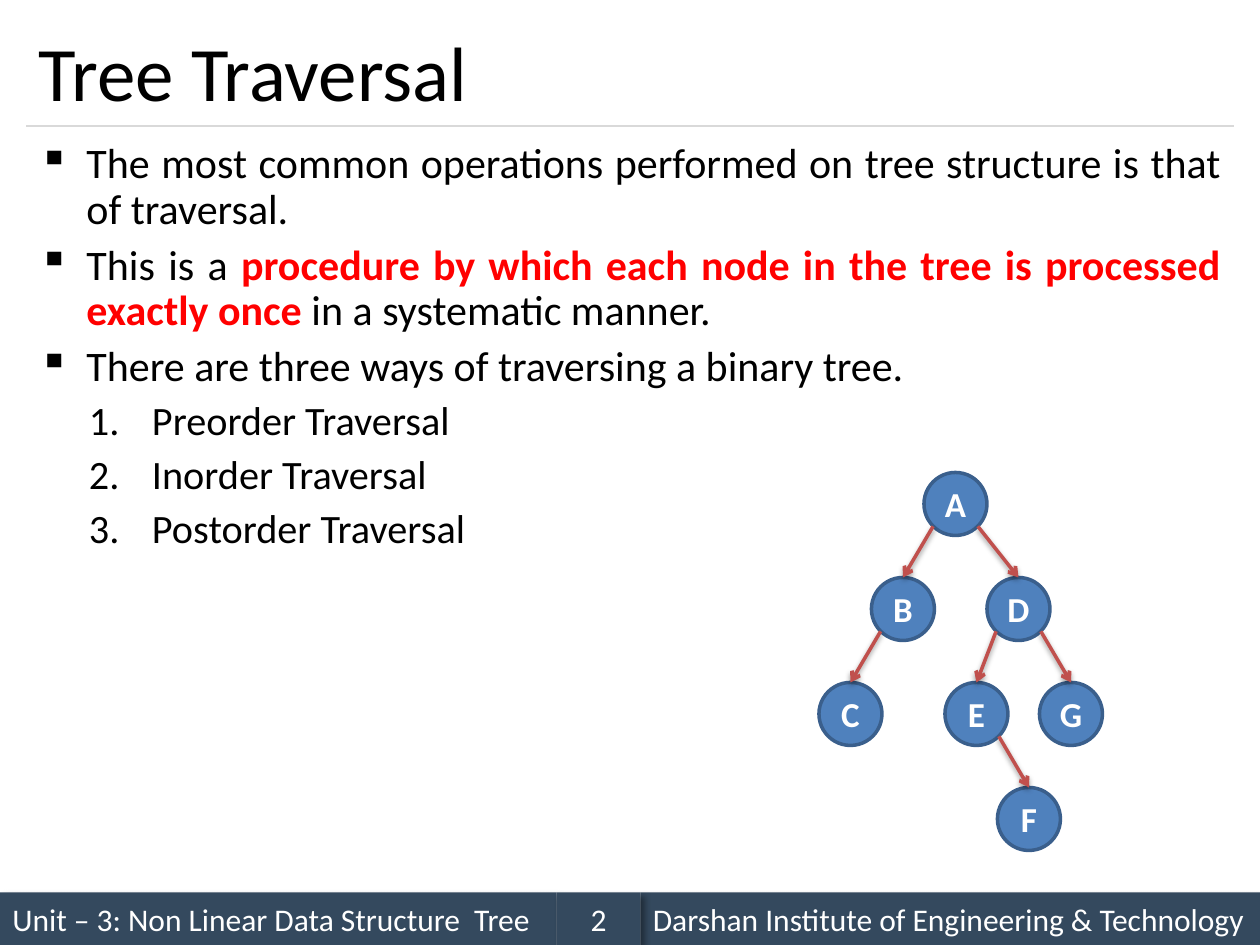
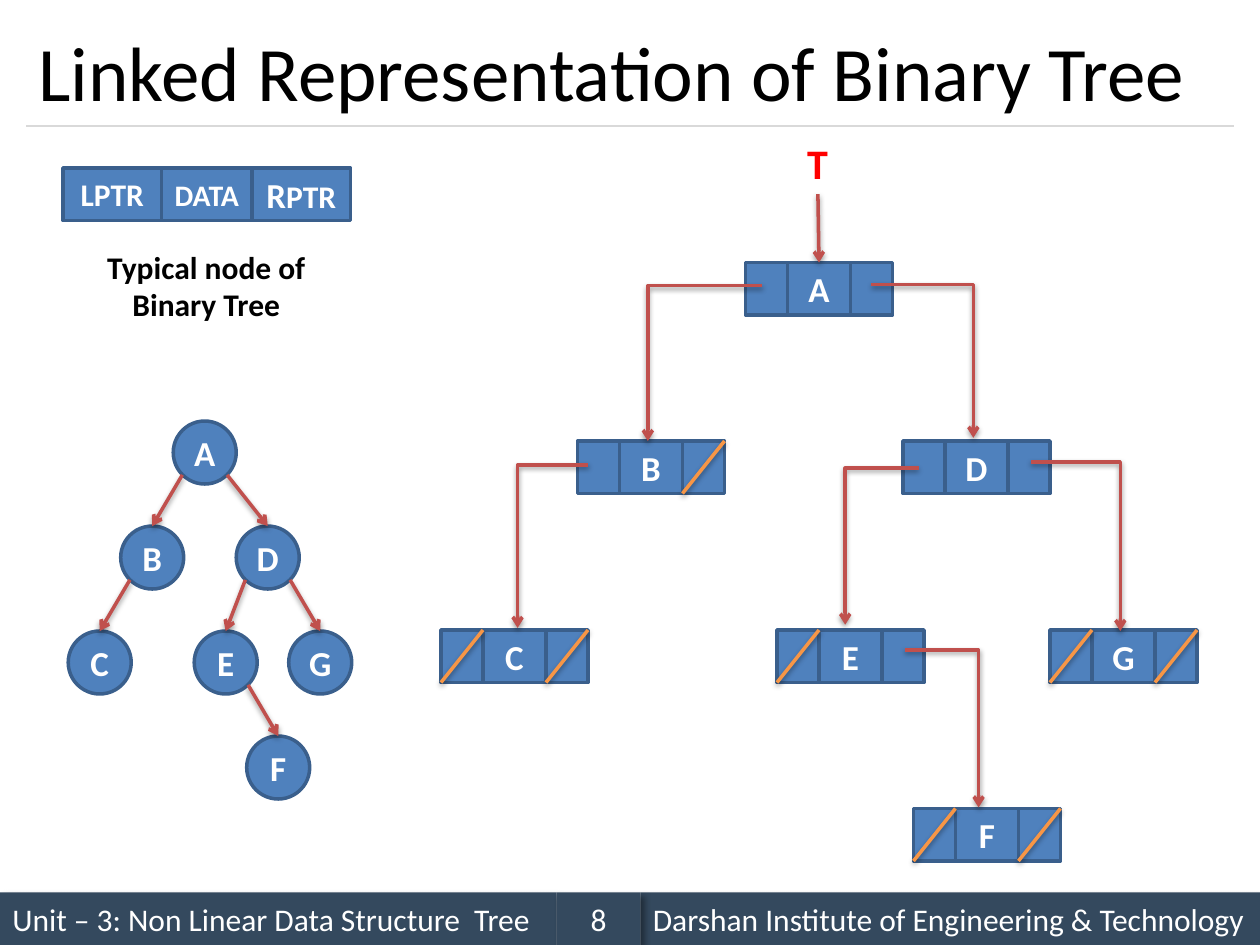
from lxml import etree
from pptx import Presentation
from pptx import util as u
from pptx.dml.color import RGBColor
from pptx.enum import shapes, text
from pptx.oxml.ns import qn

# Slide grid: 120 columns by 90 rows
WIDTH, HEIGHT = u.Inches(10), u.Inches(7.5)
COLS, ROWS = 120, 90

FONT = "Calibri"
BLACK, WHITE, RED = "000000", "FFFFFF", "FF0000"
BAND, RULE = "34495E", "D9D9D9"
NODE, NODE_EDGE = "4F81BD", "3A5F8C"
ARROW, NULL_MARK = "C0504D", "F79646"
BAND_SHADOW = dict(alpha=40, blur=4, dist=3, angle=45)
LINE_SHADOW = dict(alpha=38, blur=3.1, dist=1.6, angle=90)
CENTER, JUSTIFY = text.PP_ALIGN.CENTER, text.PP_ALIGN.JUSTIFY
MIDDLE = text.MSO_ANCHOR.MIDDLE

# Circle tree: offsets of each node from the root, and its edges
CIRCLE = 6
TREE_NODES = {"A": (0, 0), "B": (-5, 10), "C": (-10, 20), "E": (2, 20),
              "D": (6, 10), "G": (11, 20), "F": (7, 30)}
TREE_EDGES = ["AB", "BC", "AD", "DE", "DG", "EF"]

# Linked nodes: column, row and the pointer cells that are null
POINTER, DATA, CELL_HEIGHT = 4, 6, 5
LINKED_NODES = {"A": (71, 25, ""), "B": (55, 42, "R"), "D": (86, 42, ""),
                "C": (42, 60, "LR"), "E": (74, 60, "L"), "G": (100, 60, "LR"),
                "F": (87, 77, "LR")}
# Each link leaves a pointer cell sideways, then drops to its child
LINKS = [((72.6, 27.2), (61.7, 42)), ((56, 44.3), (49.3, 59.8)),
         ((83, 27.1), (92.7, 41.7)), ((87.5, 44.6), (80.5, 59.5)),
         ((98.2, 44), (106.7, 60.1)), ((86.2, 61.9), (93.2, 76.9))]


def x(col):
    return round(WIDTH * col / COLS)


def y(row):
    return round(HEIGHT * row / ROWS)


def rgb(color):
    return RGBColor.from_string(color)


def box(col, row, cols, rows):
    return x(col), y(row), x(cols), y(rows)


def set_shadow(sp, alpha, blur, dist, angle):
    effects = sp.element.spPr.find(qn("a:effectLst"))
    shadow = etree.SubElement(effects, qn("a:outerShdw"), blurRad=str(u.Pt(blur)),
                              dist=str(u.Pt(dist)), dir=str(angle * 60000),
                              rotWithShape="0")
    color = etree.SubElement(shadow, qn("a:srgbClr"), val=BLACK)
    etree.SubElement(color, qn("a:alpha"), val=str(alpha * 1000))


def style_line(sp, color, width, arrow=False):
    sp.line.color.rgb = rgb(color)
    sp.line.width = u.Pt(width)
    if arrow:
        etree.SubElement(sp.element.spPr.find(qn("a:ln")), qn("a:tailEnd"), type="arrow")


def add_run(p, words, size, color, bold=False):
    r = p.add_run()
    r.text = words
    r.font.name, r.font.size, r.font.bold = FONT, u.Pt(size), bold
    r.font.color.rgb = rgb(color)


def add_text(s, place, lines, size, color, bold=False, align=None, anchor=None, wrap=True):
    sp = s.shapes.add_textbox(*place)
    tf = sp.text_frame
    tf.word_wrap = wrap
    tf.vertical_anchor = anchor
    for i, line in enumerate(lines):
        p = tf.add_paragraph() if i else tf.paragraphs[0]
        p.alignment = align
        add_run(p, line, size, color, bold)
    return sp


def add_connector(s, start, end, color, width=2, arrow=False, shadow=True):
    line = s.shapes.add_connector(shapes.MSO_CONNECTOR.STRAIGHT,
                                  x(start[0]), y(start[1]), x(end[0]), y(end[1]))
    style_line(line, color, width, arrow)
    etree.SubElement(line.element.spPr, qn("a:effectLst"))
    if shadow:
        set_shadow(line, **LINE_SHADOW)
    return line


def add_cell(parent, kind, place, runs=()):
    """Blue node part; runs holds (words, size) pairs."""
    sp = parent.shapes.add_shape(kind, *box(*place))
    sp.shadow.inherit = False
    sp.fill.solid()
    sp.fill.fore_color.rgb = rgb(NODE)
    style_line(sp, NODE_EDGE, 2)
    tf = sp.text_frame
    tf.margin_left = tf.margin_right = tf.margin_top = tf.margin_bottom = 0
    tf.vertical_anchor = MIDDLE
    tf.paragraphs[0].alignment = CENTER
    for words, size in runs:
        add_run(tf.paragraphs[0], words, size, WHITE, True)
    return sp


def add_band(s, col, cols, words, align=None):
    sp = s.shapes.add_shape(shapes.MSO_SHAPE.RECTANGLE, *box(col, 85, cols, 5))
    sp.shadow.inherit = False
    sp.fill.solid()
    sp.fill.fore_color.rgb = rgb(BAND)
    sp.line.fill.background()
    set_shadow(sp, **BAND_SHADOW)
    tf = sp.text_frame
    tf.word_wrap = True
    tf.vertical_anchor = MIDDLE
    p = tf.paragraphs[0]
    p.alignment = align or text.PP_ALIGN.LEFT
    add_run(p, words, 18, WHITE)


def new_slide(prs, title, number):
    s = prs.slides.add_slide(prs.slide_layouts[6])
    add_band(s, 0, 53, "Unit – 3: Non Linear Data Structure  Tree")
    add_connector(s, (2.5, 12), (117.5, 12), RULE, 0.75, shadow=False)
    add_band(s, 61, 59, "Darshan Institute of Engineering & Technology")
    add_band(s, 53, 8, str(number), CENTER)
    add_text(s, box(2.5, 1.5, 115, 10.5), [title], 44, BLACK, anchor=MIDDLE)
    return s


def add_bullets(s, place, items):
    """Each item is (numbered, [(words, color, bold), ...])."""
    tf = s.shapes.add_textbox(*place).text_frame
    tf.word_wrap = True
    for i, (numbered, runs) in enumerate(items):
        p = tf.add_paragraph() if i else tf.paragraphs[0]
        pPr = p._p.get_or_add_pPr()
        left, hang = (0.9, 0.5) if numbered else (0.38, 0.38)
        pPr.set("marL", str(u.Inches(left)))
        pPr.set("indent", str(-u.Inches(hang)))
        if numbered:
            p.level = 1
            etree.SubElement(pPr, qn("a:buAutoNum"), type="arabicPeriod")
        else:
            etree.SubElement(pPr, qn("a:buChar"), char="▪")
        p.alignment = JUSTIFY
        p.line_spacing = 0.9
        if i:
            p.space_before = u.Pt(6)
        for words, color, bold in runs:
            add_run(p, words, 23 if numbered else 24, color, bold)


def add_circle_tree(s, col, row):
    circles = {name: add_cell(s, shapes.MSO_SHAPE.OVAL,
                              (col + dx, row + dy, CIRCLE, CIRCLE), [(name, 20)])
               for name, (dx, dy) in TREE_NODES.items()}
    radius = CIRCLE / 2
    diagonal = radius * 0.71
    for parent, child in TREE_EDGES:
        (px, py), (cx, cy) = TREE_NODES[parent], TREE_NODES[child]
        side = diagonal if cx > px else -diagonal
        start = col + px + radius + side, row + py + radius + diagonal
        edge = add_connector(s, start, (col + cx + radius, row + cy), ARROW, arrow=True)
        edge.end_connect(circles[child], 0)


def add_linked_node(s, col, row, widths, labels):
    """Group of three adjoining cells; returns the data cell."""
    group = s.shapes.add_group_shape()
    cells = []
    for width, runs in zip(widths, labels):
        cells.append(add_cell(group, shapes.MSO_SHAPE.RECTANGLE,
                              (col, row, width, CELL_HEIGHT), runs))
        col += width
    return cells[1]


def add_link(s, start, end):
    pen = s.shapes.build_freeform(x(start[0]), y(start[1]))
    pen.add_line_segments([(x(end[0]), y(start[1])), (x(end[0]), y(end[1]))], close=False)
    sp = pen.convert_to_shape()
    sp.shadow.inherit = False
    sp.fill.background()
    style_line(sp, ARROW, 2, arrow=True)
    set_shadow(sp, **LINE_SHADOW)


def add_null_mark(s, col, row):
    add_connector(s, (col + POINTER, row), (col, row + CELL_HEIGHT), NULL_MARK)


def traversal_slide(prs):
    s = new_slide(prs, "Tree Traversal", 2)
    plain = ["Preorder Traversal", "Inorder Traversal", "Postorder Traversal"]
    add_bullets(s, box(2.5, 13, 115, 42), [
        (False, [("The most common operations performed on tree structure is that "
                  "of traversal.", BLACK, False)]),
        (False, [("This is a ", BLACK, False),
                 ("procedure by which each node in the tree is processed exactly once",
                  RED, True),
                 (" in a systematic manner.", BLACK, False)]),
        (False, [("There are three ways of traversing a binary tree.", BLACK, False)]),
    ] + [(True, [(words, BLACK, False)]) for words in plain])
    add_circle_tree(s, 88, 45)


def linked_slide(prs):
    s = new_slide(prs, "Linked Representation of Binary Tree", 8)
    add_circle_tree(s, 16.5, 40.1)

    # Typical node and its caption
    add_linked_node(s, 6, 16, (9.4, 8.6, 9.4),
                    ([("LPTR", 18)], [("DATA", 17)], [("R", 20), ("PTR", 18)]))
    add_text(s, box(8.9, 23, 21.5, 8.5), ["Typical node of", "Binary Tree"],
             18, BLACK, True, CENTER, wrap=False)

    # Linked nodes, links and null pointers
    data_cells = {name: add_linked_node(s, col, row, (POINTER, DATA, POINTER),
                                        ([], [(name, 20)], []))
                  for name, (col, row, _) in LINKED_NODES.items()}
    for start, end in LINKS:
        add_link(s, start, end)
    for col, row, nulls in LINKED_NODES.values():
        for side in nulls:
            add_null_mark(s, col if side == "L" else col + POINTER + DATA, row)

    # Root pointer
    add_text(s, box(75.6, 12.5, 4.5, 6), ["T"], 24, RED, True, CENTER, wrap=False)
    root = add_connector(s, (77.9, 18.5), (78, 25), ARROW, arrow=True)
    root.end_connect(data_cells["A"], 0)


def main():
    prs = Presentation()
    prs.slide_width, prs.slide_height = WIDTH, HEIGHT
    traversal_slide(prs)
    linked_slide(prs)
    prs.save("out.pptx")


if __name__ == "__main__":
    main()
